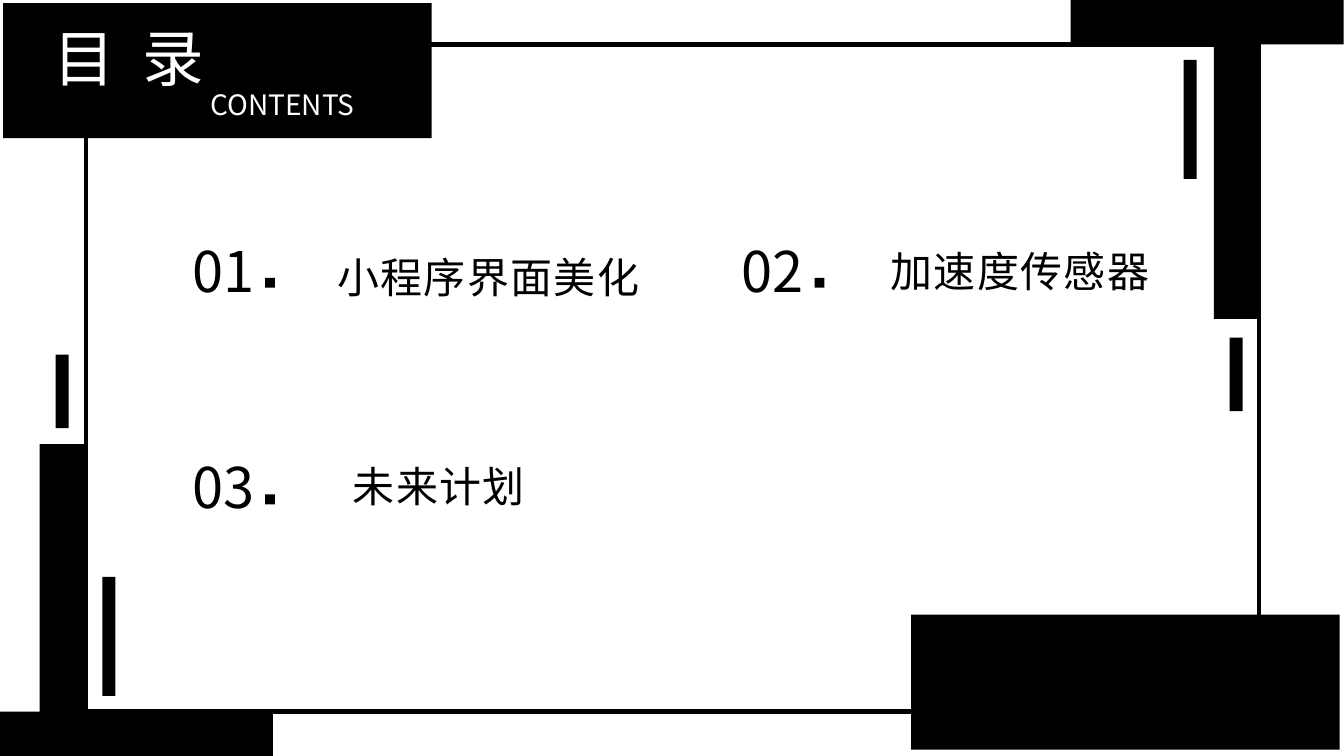
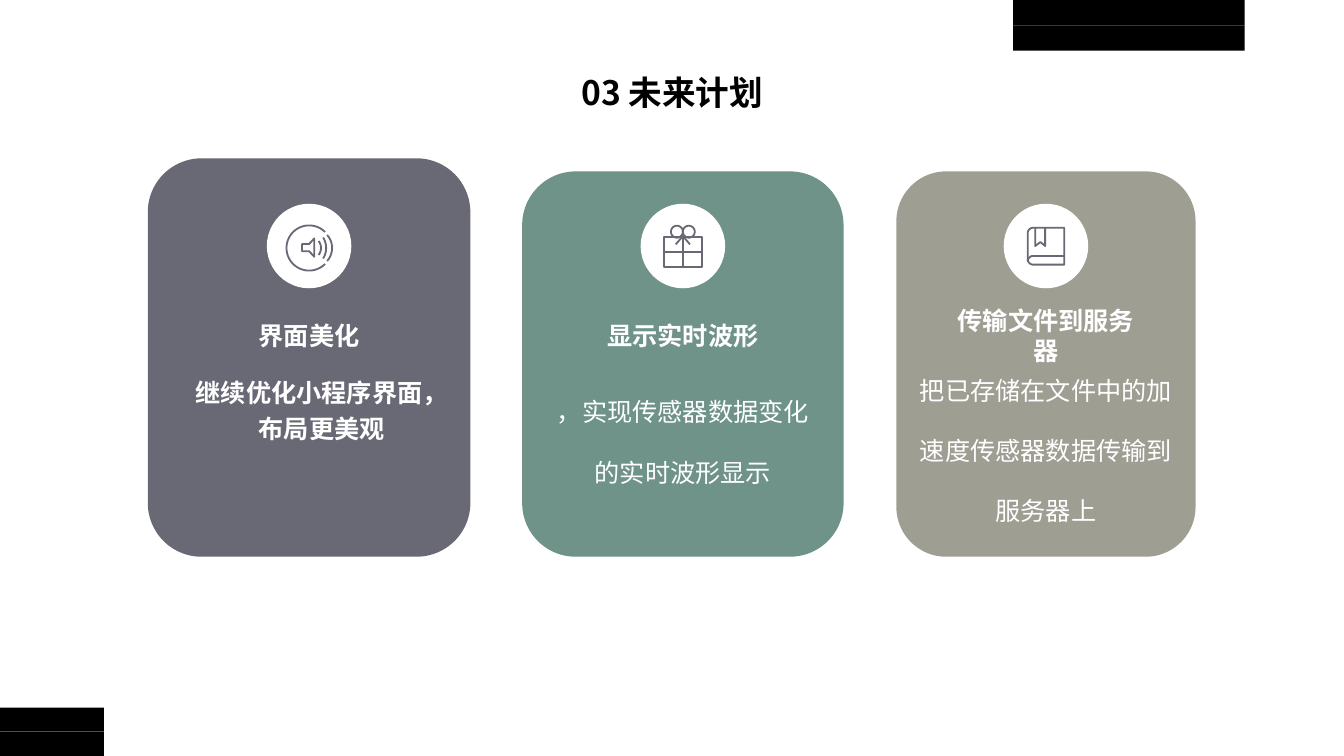
import math

import pptx
import pptx.dml.color
import pptx.enum.shapes
import pptx.enum.text
import pptx.oxml.ns
import pptx.util
from lxml import etree

Cm = pptx.util.Cm
SHAPES = pptx.enum.shapes.MSO_SHAPE
ALIGN = pptx.enum.text.PP_ALIGN
FONT = "Noto Sans CJK SC"
COLORS = {
    "black": "000000",
    "white": "FFFFFF",
    "slate": "686974",
    "green": "6F9389",
    "stone": "9F9E93",
}

FRAME = (2.16, 1.12, 29.57, 16.81)
CONTENTS_BLOCKS = [
    (0, 17.93, 6.88, 1.12),
    (0.08, 0.08, 10.8, 3.4),
    (26.98, 0, 6.88, 1.12),
    (30.59, 1.16, 1.12, 6.88),
    (1, 11.19, 1.12, 6.88),
    (2.58, 14.54, 0.33, 3),
    (29.83, 1.51, 0.33, 3),
    (1.4, 8.94, 0.33, 1.85),
    (30.99, 8.51, 0.33, 1.85),
    (22.96, 15.49, 10.8, 3.4),
]
CONTENTS_ITEMS = [
    {"number": "01", "left": 4.29, "top": 5.82, "label": "小程序界面美化", "place": (7.98, 6.22, 8.66)},
    {"number": "02", "left": 18.14, "top": 5.82, "label": "加速度传感器", "place": (21.82, 6.05, 7.77)},
    {"number": "03", "left": 4.29, "top": 11.28, "label": "未来计划", "place": (8.2, 11.48, 5.72)},
]

PLAN_BANDS = [(0, 17.83, 2.62, 0.61), (25.53, 0, 5.84, 0.64)]
CARD_BOTTOM = 14.03
DISC_MIDDLE = 6.2
DISC_SIZE = 2.13
BODY_WIDTH = 6.99
PLAN_CARDS = [
    {"icon": "book", "color": "stone", "center": 26.36, "top": 4.32, "width": 7.54,
     "heading": "传输文件到服务器", "heading_width": 5.44,
     "body": "把已存储在文件中的加速度传感器数据传输到服务器上",
     "body_top": 8.53, "body_height": 4.88, "shift": 0, "spacing": 2, "bold": False},
    {"icon": "gift", "color": "green", "center": 17.21, "top": 4.32, "width": 8.1,
     "heading": "显示实时波形", "heading_width": 5.13,
     "body": "，实现传感器数据变化的实时波形显示",
     "body_top": 9.09, "body_height": 3.33, "shift": 0, "spacing": 2, "bold": False},
    {"icon": "speaker", "color": "slate", "center": 7.79, "top": 3.99, "width": 8.13,
     "heading": "界面美化", "heading_width": 5.13,
     "body": "继续优化小程序界面，布局更美观",
     "body_top": 9.32, "body_height": 1.91, "shift": 0.32, "spacing": 1.2, "bold": True},
]


def arc(x, y, radius, start, end):
    steps = max(6, abs(end - start) // 8)
    angles = [math.radians(start + (end - start) * step / steps) for step in range(steps + 1)]
    return [(x + radius * math.cos(angle), y + radius * math.sin(angle)) for angle in angles]


ICONS = {
    "speaker": [
        (arc(0, 0.05, 0.57, 45, 315), False),
        ([(-0.18, -0.05), (0, -0.05), (0.13, -0.19), (0.13, 0.27), (0, 0.13), (-0.18, 0.13)], True),
        (arc(0.02, 0.05, 0.28, -39, 39), False),
        (arc(-0.07, 0.05, 0.5, -32, 32), False),
        (arc(0.09, 0.05, 0.49, -42, 42), False),
    ],
    "gift": [
        ([(-0.48, -0.22), (0.48, -0.22), (0.48, 0.53), (-0.48, 0.53)], True),
        ([(0, -0.22), (0, 0.53)], False),
        ([(-0.48, 0.15), (0.48, 0.15)], False),
        (arc(-0.15, -0.36, 0.15, 0, 360), True),
        (arc(0.15, -0.36, 0.15, 0, 360), True),
        ([(-0.18, -0.04), (0, -0.25), (0.18, -0.04)], False),
    ],
    "book": [
        ([(0.46, -0.46)] + arc(-0.32, -0.32, 0.14, 270, 180)
         + arc(-0.32, 0.33, 0.14, 180, 90) + [(0.46, 0.47)], True),
        ([(0.46, 0.25)] + arc(-0.32, 0.39, 0.14, 270, 180), False),
        ([(-0.27, -0.46), (-0.27, 0), (-0.14, -0.1), (-0.02, 0), (-0.02, -0.46)], False),
    ],
}


def rgb(color):
    return pptx.dml.color.RGBColor.from_string(COLORS[color])


def add_block(page, place, color="black", kind=SHAPES.RECTANGLE):
    block = page.shapes.add_shape(kind, *map(Cm, place))
    block.shadow.inherit = False
    block.fill.solid()
    block.fill.fore_color.rgb = rgb(color)
    block.line.fill.background()
    return block


def add_text(page, place, text, size, color="black", bold=False,
             align=ALIGN.CENTER, tracking=0, spacing=None):
    box = page.shapes.add_textbox(*map(Cm, place))
    frame = box.text_frame
    frame.word_wrap = True
    frame.vertical_anchor = pptx.enum.text.MSO_ANCHOR.MIDDLE
    frame.text = text
    para = frame.paragraphs[0]
    para.alignment = align
    if spacing:
        para.line_spacing = spacing
    span = para.runs[0]
    span.font.size = pptx.util.Pt(size)
    span.font.bold = bold
    span.font.color.rgb = rgb(color)
    span.font.name = FONT
    properties = span._r.get_or_add_rPr()
    etree.SubElement(properties, pptx.oxml.ns.qn("a:ea")).set("typeface", FONT)
    if tracking:
        properties.set("spc", str(tracking * 100))


def add_icon(page, strokes, center, middle):
    paths = [([(Cm(center + x), Cm(middle + y)) for x, y in points], closed)
             for points, closed in strokes]
    builder = page.shapes.build_freeform(*paths[0][0][0])
    for points, closed in paths:
        builder.move_to(*points[0])
        builder.add_line_segments(points[1:], close=closed)
    icon = builder.convert_to_shape()
    icon.shadow.inherit = False
    icon.fill.background()
    icon.line.color.rgb = rgb("slate")
    icon.line.width = pptx.util.Pt(1.3)


def build_contents(page):
    frame = add_block(page, FRAME)
    frame.fill.background()
    frame.line.color.rgb = rgb("black")
    frame.line.width = pptx.util.Pt(3)
    for place in CONTENTS_BLOCKS:
        add_block(page, place)
    add_text(page, (1.09, 0.38, 5.56, 2.13), "目 录", 44, "white", align=ALIGN.LEFT, tracking=5)
    add_text(page, (4.39, 2.08, 5.46, 1.12), "CONTENTS", 20, "white")
    for item in CONTENTS_ITEMS:
        left, top = item["left"], item["top"]
        add_text(page, (left, top, 2.67, 1.96), item["number"], 40)
        add_block(page, (left + 2.39, top + 1.18, 0.25, 0.25))
        add_text(page, (*item["place"], 1.52), item["label"], 30, tracking=1)


def build_plan(page):
    for left, top, width, height in PLAN_BANDS:
        for row in range(2):
            add_block(page, (left, top + row * height, width, height))
    add_text(page, (12.52, 1.68, 8.84, 1.27), "03 未来计划", 24, bold=True)
    for card in PLAN_CARDS:
        center, top, width = card["center"], card["top"], card["width"]
        add_block(page, (center - width / 2, top, width, CARD_BOTTOM - top),
                  card["color"], SHAPES.ROUNDED_RECTANGLE)
        add_text(page, (center + card["shift"] - BODY_WIDTH / 2, card["body_top"],
                        BODY_WIDTH, card["body_height"]),
                 card["body"], 18, "white", card["bold"], spacing=card["spacing"])
        add_text(page, (center - card["heading_width"] / 2, 8, card["heading_width"], 0.89),
                 card["heading"], 18, "white", True)
        add_block(page, (center - DISC_SIZE / 2, DISC_MIDDLE - DISC_SIZE / 2, DISC_SIZE, DISC_SIZE),
                  "white", SHAPES.OVAL)
        add_icon(page, ICONS[card["icon"]], center, DISC_MIDDLE)


def main():
    deck = pptx.Presentation()
    deck.slide_width = Cm(33.87)
    deck.slide_height = Cm(19.05)
    for build in (build_contents, build_plan):
        build(deck.slides.add_slide(deck.slide_layouts[6]))
    deck.save("out.pptx")


if __name__ == "__main__":
    main()
